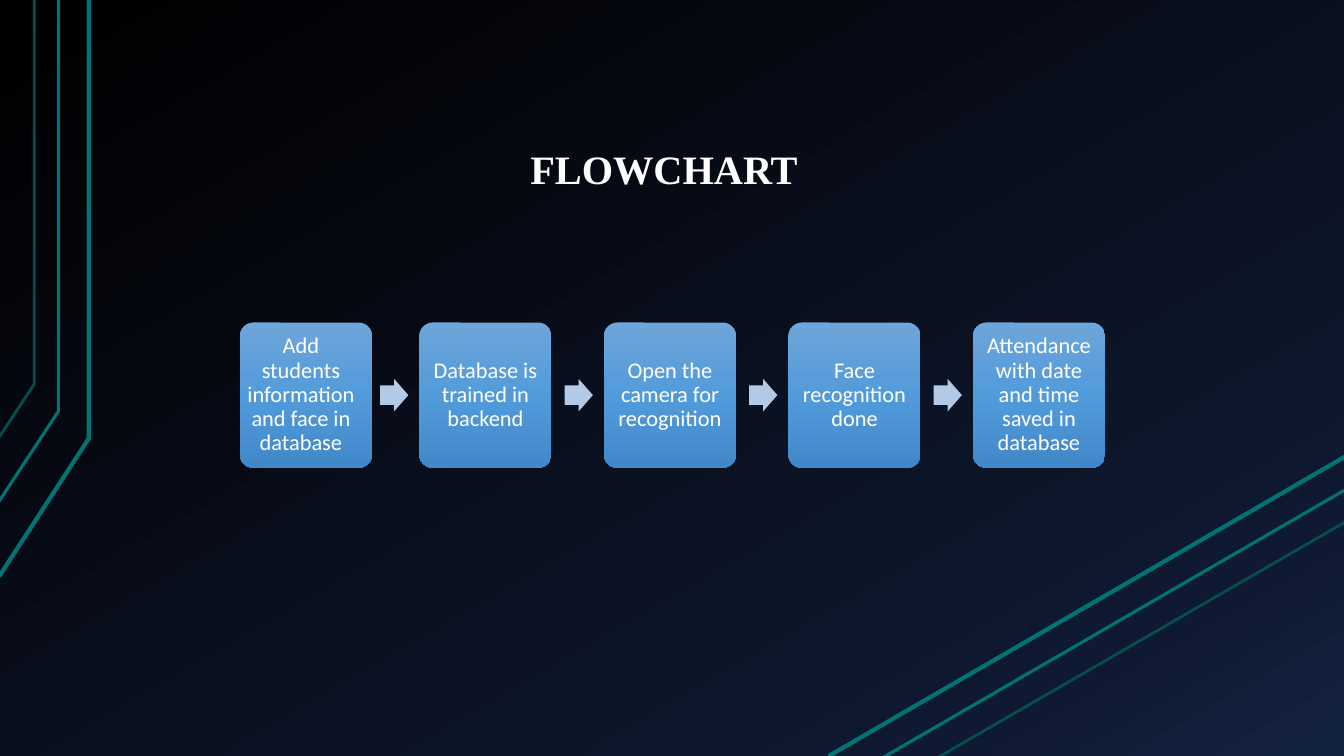
from copy import deepcopy
from lxml import etree
from pptx import Presentation
from pptx.dml.color import RGBColor
from pptx.enum.shapes import MSO_CONNECTOR, MSO_SHAPE
from pptx.enum.text import MSO_ANCHOR, MSO_AUTO_SIZE, PP_ALIGN
from pptx.oxml.ns import qn
from pptx.util import Inches, Pt

BOX, ARROW = MSO_SHAPE.ROUNDED_RECTANGLE, MSO_SHAPE.RIGHT_ARROW
STRAIGHT, CENTER = MSO_CONNECTOR.STRAIGHT, PP_ALIGN.CENTER
MIDDLE, BOTTOM = MSO_ANCHOR.MIDDLE, MSO_ANCHOR.BOTTOM

# Content
TITLE = "FLOWCHART"
STEPS = [
    "Add students information and face in database",
    "Database is trained in backend",
    "Open the camera for recognition",
    "Face recognition done",
    "Attendance with date and time saved in database",
]

# Decor: points in inches, line colour name, line width
BENDS = [
    ([(-0.01, 5.72), (0.88, 4.35), (0.88, 0)], "teal", 3),
    ([(-0.02, 4.99), (0.58, 4.08), (0.58, 0)], "teal", 2.25),
    ([(-0.01, 4.34), (0.34, 3.81), (0.34, 0)], "dim", 2),
]
RAYS = [
    ((8.22, 7.5), (13.34, 4.53), "teal", 3),
    ((8.75, 7.52), (13.34, 4.86), "teal", 2.25),
    ((9.31, 7.51), (13.34, 5.18), "dim", 2),
]

THEME = {
    "teal": "007373", "dim": "034F50", "arrow": "B3CAE7", "text": "FFFFFF",
    "back": [(0, "000000"), (0.85, "0F1931"), (1, "142242")],
    "box": [(0, "6EA5DA"), (0.5, "529BDA"), (1, "4188C8")],
    "body": {"name": "Calibri", "size": Pt(16), "bold": False},
    "lead": {"name": "Calibri", "size": Pt(48.6), "bold": False},
    "head": {"name": "Times New Roman", "size": Pt(28.8), "bold": True},
}

# Flow layout in inches
LEFT, TOP, PITCH = 2.33, 3.2, 1.83
WIDE, HIGH = 1.31, 1.44
ARROW_GAP, ARROW_W, ARROW_H = 1.44, 0.28, 0.32
NUDGE = 0.05  # the first box sits a little closer to its arrow
PAD = 0.07


def tint(name):
    return RGBColor.from_string(THEME[name])


def apply(obj, values):
    for key, value in values.items():
        setattr(obj, key, value)


def grade(fill, root, stops, angle):
    """Fill with a gradient; the angle runs clockwise."""
    fill.gradient()
    fill.gradient_angle = 360 - angle
    marks = root.find(".//" + qn("a:gsLst"))
    while len(marks) < len(stops):
        marks.append(deepcopy(marks[-1]))
    for mark, (place, color) in zip(fill.gradient_stops, stops):
        mark.position = place
        mark.color.rgb = RGBColor.from_string(color)


def stroke(line, color, width):
    line.color.rgb = tint(color)
    line.width = Pt(width)


def write(par, text, style):
    run = par.add_run()
    run.text = text
    apply(run.font, THEME[style])
    run.font.color.rgb = tint("text")


def setup(frame, anchor, pad_l, pad_r):
    apply(frame, {
        "word_wrap": True, "auto_size": MSO_AUTO_SIZE.NONE,
        "vertical_anchor": anchor,
        "margin_left": Inches(pad_l), "margin_right": Inches(pad_r),
        "margin_top": Inches(PAD), "margin_bottom": Inches(PAD),
    })
    par = frame.paragraphs[0]
    apply(par, {"alignment": CENTER, "line_spacing": 0.9})
    return par


def add_part(shapes, kind, *area):
    part = shapes.add_shape(kind, *map(Inches, area))
    part.shadow.inherit = False
    part.line.fill.background()
    return part


def add_decor(shapes):
    for points, color, width in BENDS:
        pts = [(Inches(x), Inches(y)) for x, y in points]
        pen = shapes.build_freeform(*pts[0])
        pen.add_line_segments(pts[1:], close=False)
        bend = pen.convert_to_shape()
        bend.shadow.inherit = False
        bend.fill.background()
        stroke(bend.line, color, width)
    for start, end, color, width in RAYS:
        ray = shapes.add_connector(STRAIGHT, *map(Inches, start + end))
        stroke(ray.line, color, width)
        etree.SubElement(ray._element.spPr, qn("a:effectLst"))


def add_title(title):
    apply(title, {"left": Inches(1.62), "top": Inches(1.15),
                  "width": Inches(9.78), "height": Inches(0.9)})
    par = setup(title.text_frame, BOTTOM, 0.13, 0.13)
    write(par, " ", "lead")
    write(par, TITLE, "head")


def add_flow(shapes):
    for i, step in enumerate(STEPS):
        x = LEFT + i * PITCH
        shift = 0 if i else NUDGE
        box = add_part(shapes, BOX, x + shift, TOP, WIDE, HIGH)
        box.adjustments[0] = 0.1
        grade(box.fill, box._element, THEME["box"], 90)
        # Padding undoes the nudge, so the text keeps to the grid
        par = setup(box.text_frame, MIDDLE, PAD - shift, PAD + shift)
        write(par, step, "body")
        if i < len(STEPS) - 1:
            arrow = add_part(shapes, ARROW, x + ARROW_GAP,
                             TOP + (HIGH - ARROW_H) / 2, ARROW_W, ARROW_H)
            arrow.adjustments[0] = 0.6
            arrow.adjustments[1] = 0.5
            arrow.fill.solid()
            arrow.fill.fore_color.rgb = tint("arrow")


def main():
    deck = Presentation()
    deck.slide_width, deck.slide_height = Inches(13.33), Inches(7.5)
    slide = deck.slides.add_slide(deck.slide_layouts[5])
    grade(slide.background.fill, slide._element, THEME["back"], 60)
    add_decor(slide.shapes)
    add_title(slide.shapes.title)
    add_flow(slide.shapes)
    deck.save("out.pptx")


if __name__ == "__main__":
    main()
